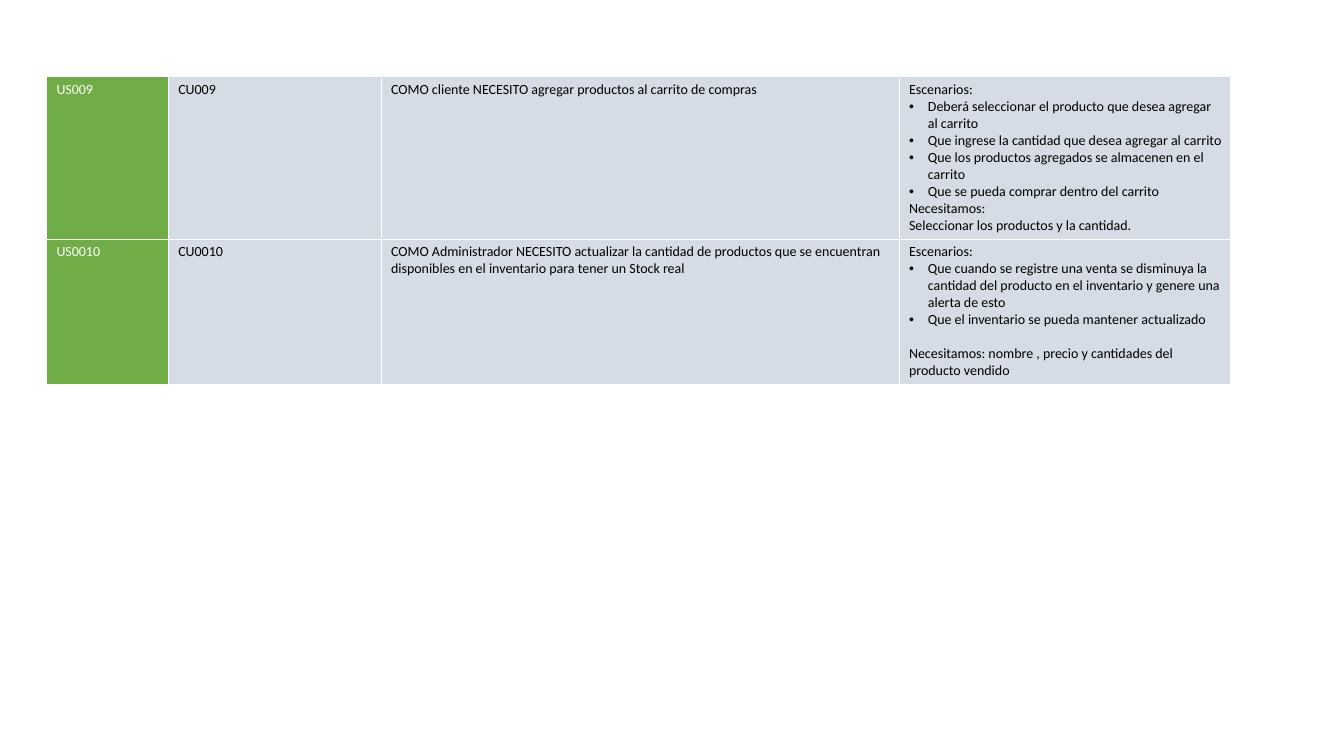
import pptx
import pptx.util
import pptx.dml.color
import pptx.oxml
import pptx.oxml.ns

Pt = pptx.util.Pt

STORIES = [
    ("US009", "CU009",
     "COMO cliente NECESITO agregar productos al carrito de compras",
     ["Deberá seleccionar el producto que desea agregar al carrito",
      "Que ingrese la cantidad que desea agregar al carrito",
      "Que los productos agregados se almacenen en el carrito",
      "Que se pueda comprar dentro del carrito"],
     ["Necesitamos:", "Seleccionar los productos y la cantidad."], 0),
    ("US0010", "CU0010",
     "COMO Administrador NECESITO actualizar la cantidad de productos que se "
     "encuentran disponibles en el inventario para tener un Stock real",
     ["Que cuando se registre una venta se disminuya la cantidad del producto "
      "en el inventario y genere una alerta de esto",
      "Que el inventario se pueda mantener actualizado"],
     ["Necesitamos: nombre , precio y cantidades del producto vendido"], 12.2),
]
COLUMN_WIDTHS = [87, 152, 370, 237]
ROW_HEIGHTS = [116, 104]
LEFT, TOP = 33.4, 54.8
INDENT = 13.5
GREEN, GRAY, WHITE, BLACK = "70AD47", "D6DCE5", "FFFFFF", "000000"


def rgb(value):
    return pptx.dml.color.RGBColor.from_string(value)


def add_borders(cell):
    properties = cell._tc.get_or_add_tcPr()
    for index, side in enumerate(("lnL", "lnR", "lnT", "lnB")):
        properties.insert(index, pptx.oxml.parse_xml(
            f'<a:{side} {pptx.oxml.ns.nsdecls("a")} w="{Pt(1)}"><a:solidFill>'
            f'<a:srgbClr val="{WHITE}"/></a:solidFill></a:{side}>'))


def add_bullet(para):
    properties = para._p.get_or_add_pPr()
    properties.set("marL", str(Pt(INDENT)))
    properties.set("indent", str(-Pt(INDENT)))
    namespace = pptx.oxml.ns.nsdecls("a")
    properties.append(pptx.oxml.parse_xml(f'<a:buFont {namespace} typeface="Arial"/>'))
    properties.append(pptx.oxml.parse_xml(f'<a:buChar {namespace} char="•"/>'))


def fill_cell(cell, lines, fill, color):
    cell.fill.solid()
    cell.fill.fore_color.rgb = rgb(fill)
    add_borders(cell)
    cell.margin_left = cell.margin_right = Pt(7)
    cell.margin_top = cell.margin_bottom = Pt(3)
    cell.text_frame.text = "\n".join(lines)
    for para in cell.text_frame.paragraphs:
        for span in para.runs:
            span.font.name = "Calibri"
            span.font.size = Pt(10)
            span.font.color.rgb = rgb(color)


def main():
    deck = pptx.Presentation()
    deck.slide_width, deck.slide_height = Pt(960), Pt(540)
    page = deck.slides.add_slide(deck.slide_layouts[6])
    table = page.shapes.add_table(
        len(STORIES), len(COLUMN_WIDTHS), Pt(LEFT), Pt(TOP),
        Pt(sum(COLUMN_WIDTHS)), Pt(sum(ROW_HEIGHTS))).table
    table.first_row = table.horz_banding = False
    for column, width in zip(table.columns, COLUMN_WIDTHS):
        column.width = Pt(width)
    for row, height in zip(table.rows, ROW_HEIGHTS):
        row.height = Pt(height)

    for row, (story, case, summary, scenarios, needs, gap) in zip(table.rows, STORIES):
        story_cell, case_cell, summary_cell, detail_cell = row.cells
        fill_cell(story_cell, [story], GREEN, WHITE)
        fill_cell(case_cell, [case], GRAY, BLACK)
        fill_cell(summary_cell, [summary], GRAY, BLACK)
        fill_cell(detail_cell, ["Escenarios:", *scenarios, *needs], GRAY, BLACK)
        paras = detail_cell.text_frame.paragraphs
        needs_start = 1 + len(scenarios)
        for para in paras[1:needs_start]:
            add_bullet(para)
        paras[needs_start].space_before = Pt(gap)

    deck.save("out.pptx")


if __name__ == "__main__":
    main()
